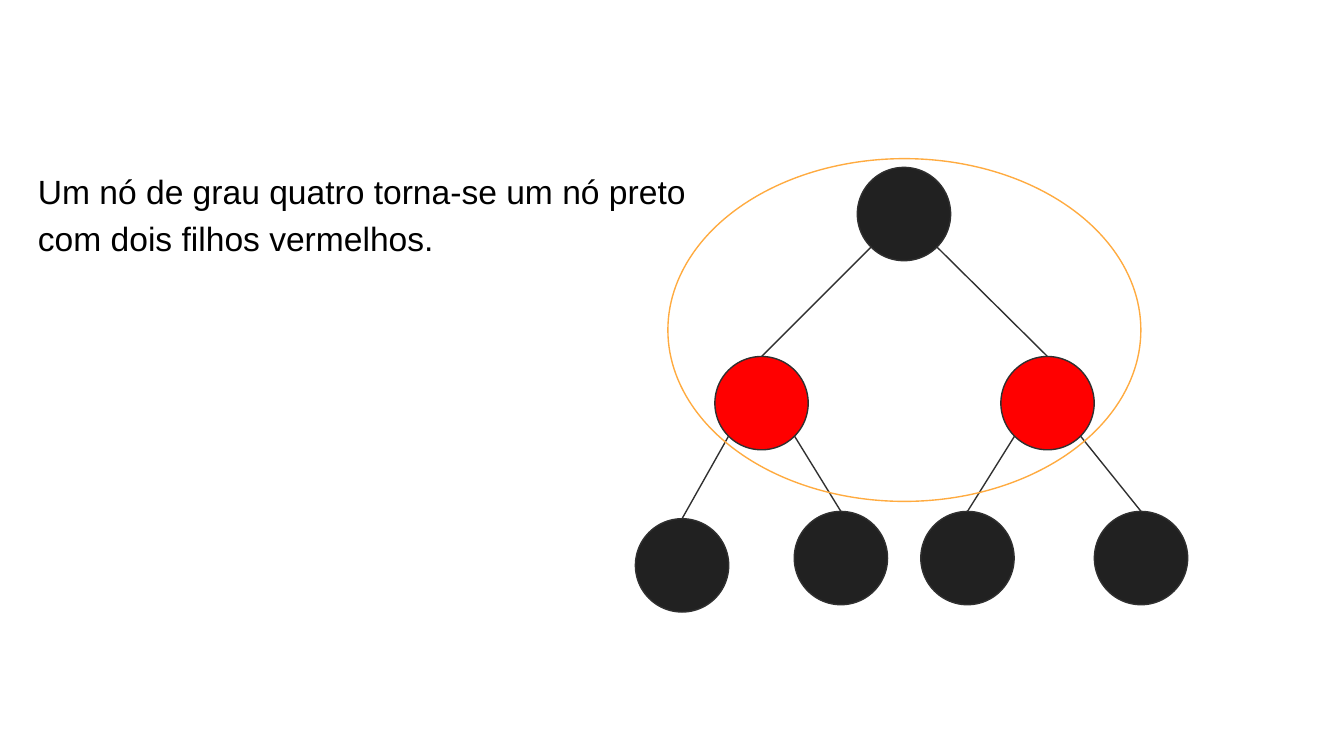
from math import sqrt

from lxml import etree
from pptx import Presentation
from pptx.dml.color import RGBColor
from pptx.enum.shapes import MSO_CONNECTOR, MSO_SHAPE
from pptx.enum.text import MSO_AUTO_SIZE
from pptx.oxml.ns import qn
from pptx.util import Pt

LINE = MSO_CONNECTOR.STRAIGHT
OVAL = MSO_SHAPE.OVAL
GROW = MSO_AUTO_SIZE.SHAPE_TO_FIT_TEXT

BLACK, RED, EDGE, RING = "212121", "FF0000", "303030", "FFAB40"
SIZE = 50
HALF = SIZE / 2
SLANT = HALF / sqrt(2)

ROOT = (484.3, 114.7)
TREE = {
    (408, 216): [(365.4, 302.9), (450.5, 299)],
    (561.2, 216): [(518.3, 299), (611.3, 299)],
}


def color(code):
    """Turn a hex string into a colour."""
    return RGBColor.from_string(code)


def pen(line, code):
    """Give a line its colour and width."""
    line.color.rgb = color(code)
    line.width = Pt(0.75)


def oval(slide, left, top, width, height, line, fill=None):
    """Add an ellipse, hollow unless a fill is given."""
    shape = slide.shapes.add_shape(OVAL, Pt(left), Pt(top), Pt(width), Pt(height))
    shape.shadow.inherit = False
    if fill:
        shape.fill.solid()
        shape.fill.fore_color.rgb = color(fill)
    else:
        shape.fill.background()
    pen(shape.line, line)


def node(slide, spot, fill):
    """Add a tree node centred on a spot."""
    x, y = spot
    oval(slide, x - HALF, y - HALF, SIZE, SIZE, EDGE, fill)


def edge(slide, start, end):
    """Join the lower side of a parent to the top of its child."""
    (x, y), (u, v) = start, end
    side = SLANT if u > x else -SLANT
    link = slide.shapes.add_connector(
        LINE, Pt(x + side), Pt(y + SLANT), Pt(u), Pt(v - HALF))
    pen(link.line, EDGE)
    etree.SubElement(link._element.spPr, qn("a:effectLst"))


def note(slide, text, left, top, width, height):
    """Add the wrapped paragraph that explains the tree."""
    box = slide.shapes.add_textbox(Pt(left), Pt(top), Pt(width), Pt(height))
    frame = box.text_frame
    frame.word_wrap = True
    frame.auto_size = GROW
    frame.margin_left = frame.margin_right = Pt(7.2)
    frame.margin_top = frame.margin_bottom = Pt(7.2)
    para = frame.paragraphs[0]
    para.text = text
    para.line_spacing = 1.15
    para.font.name = "Arial"
    para.font.size = Pt(18)
    para.font.color.rgb = color("000000")


def main():
    """Build the slide and save it."""
    deck = Presentation()
    deck.slide_width, deck.slide_height = Pt(720), Pt(405)
    slide = deck.slides.add_slide(deck.slide_layouts[6])
    note(slide, "Um nó de grau quatro torna-se um nó preto com dois filhos vermelhos.",
         13.2, 81.4, 383, 98.6)
    node(slide, ROOT, BLACK)
    for child, leaves in TREE.items():
        node(slide, child, RED)
        edge(slide, ROOT, child)
        for leaf in leaves:
            node(slide, leaf, BLACK)
            edge(slide, child, leaf)
    oval(slide, 357.8, 85, 253.4, 183.6, RING)
    deck.save("out.pptx")


if __name__ == "__main__":
    main()
